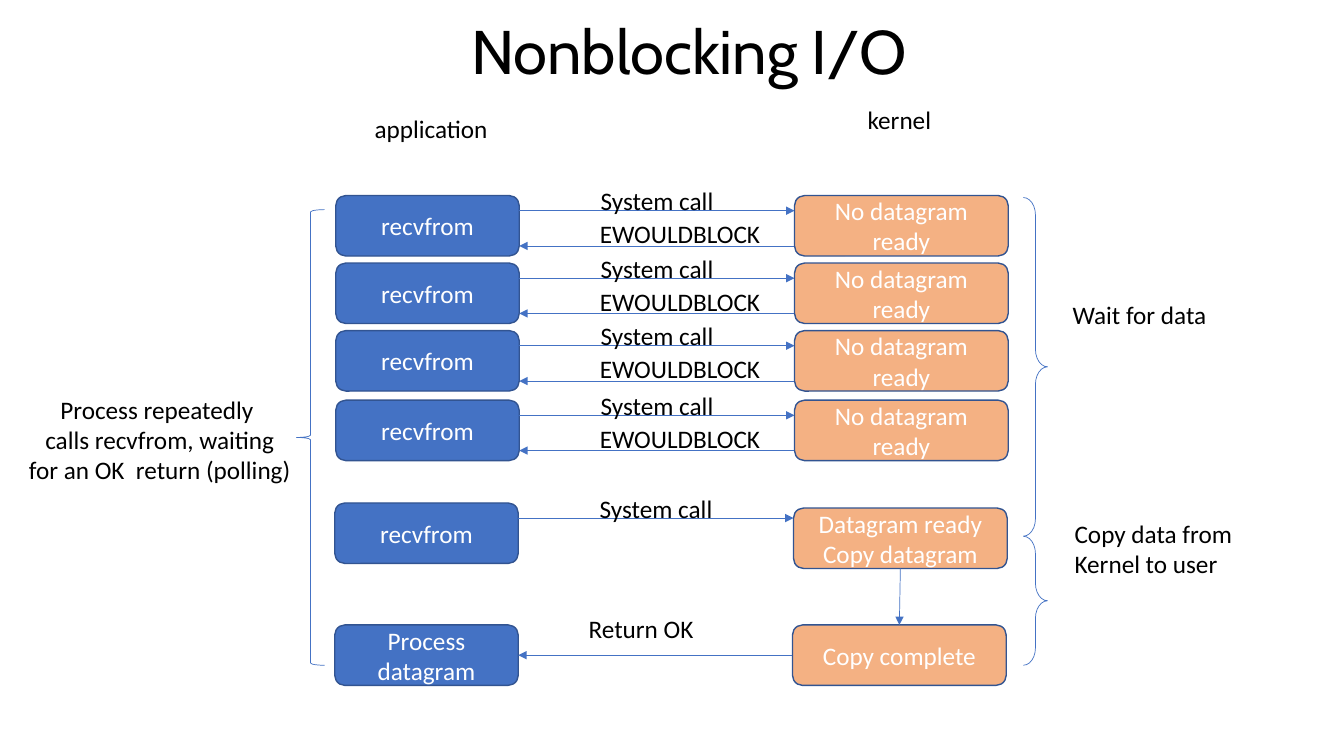
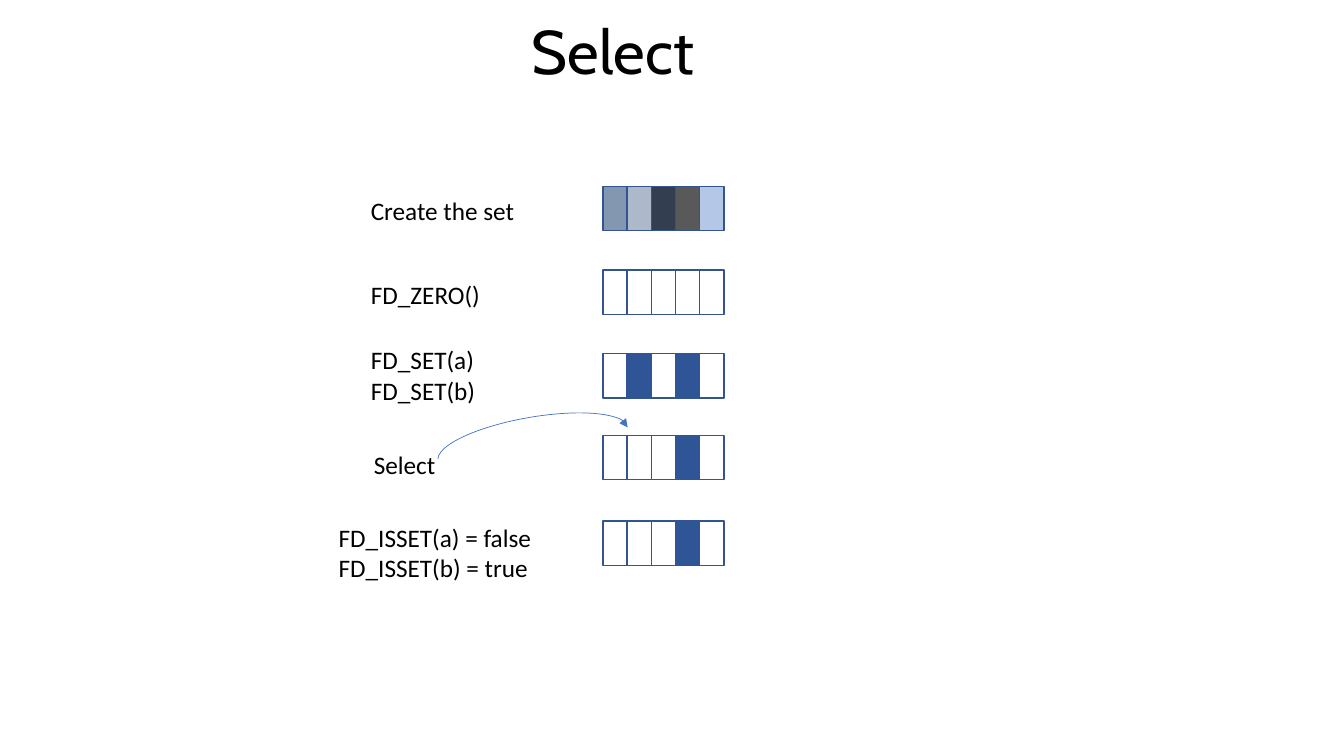
"""Build two slides on nonblocking reads and the select call."""
from lxml.etree import SubElement
from pptx import Presentation
from pptx.dml.color import RGBColor
from pptx.enum.shapes import MSO_CONNECTOR, MSO_SHAPE
from pptx.enum.text import MSO_ANCHOR, MSO_AUTO_SIZE, PP_ALIGN
from pptx.oxml.ns import qn
from pptx.util import Pt

SCALE = 9144
COLORS = {
    "black": "000000", "white": "FFFFFF", "blue": "4472C4", "edge": "325491",
    "peach": "F4B183", "navy": "2F5597", "steel": "8497B0", "mist": "ADB9CA",
    "slate": "333F50", "gray": "595959", "sky": "B4C7E7",
}
BOX_H = 60
CELL_W, CELL_H = 24, 44
CELL_X = 598


def px(*sizes):
    """Turn lengths in px into EMU."""
    return [size * SCALE for size in sizes]


def rgb(name):
    """Look up a named colour."""
    return RGBColor.from_string(COLORS[name])


def write(frame, text, color="black", size=18, font="Calibri", align=PP_ALIGN.LEFT):
    """Put one paragraph per line of text into a frame."""
    for i, line in enumerate(text.split("\n")):
        para = frame.paragraphs[0] if i == 0 else frame.add_paragraph()
        para.text = line
        para.alignment = align
        para.font.size = Pt(size)
        para.font.name = font
        para.font.color.rgb = rgb(color)


def title(slide, text, width):
    """Add the slide title."""
    frame = slide.shapes.add_textbox(*px(125, 0, width, 108)).text_frame
    frame.word_wrap = True
    frame.vertical_anchor = MSO_ANCHOR.MIDDLE
    write(frame, text, size=44, font="Cabin", align=PP_ALIGN.CENTER)
    frame.paragraphs[0].line_spacing = 0.9


def label(slide, text, x, y, w, wrap=False, align=PP_ALIGN.LEFT):
    """Add a plain text label whose height follows its lines."""
    height = 40 + 30 * text.count("\n")
    frame = slide.shapes.add_textbox(*px(x, y, w, height)).text_frame
    frame.word_wrap = wrap
    frame.auto_size = MSO_AUTO_SIZE.SHAPE_TO_FIT_TEXT
    write(frame, text, align=align)


def shape(slide, kind, x, y, w, h, fill=None, edge="edge", weight=1):
    """Add a flat preset shape."""
    item = slide.shapes.add_shape(kind, *px(x, y, w, h))
    item.shadow.inherit = False
    if fill:
        item.fill.solid()
        item.fill.fore_color.rgb = rgb(fill)
    else:
        item.fill.background()
    item.line.color.rgb = rgb(edge)
    item.line.width = Pt(weight)
    return item


def step(slide, text, x, y, w, fill):
    """Add a rounded box with centred white text."""
    box = shape(slide, MSO_SHAPE.ROUNDED_RECTANGLE, x, y, w, BOX_H, fill)
    box.text_frame.word_wrap = True
    box.text_frame.vertical_anchor = MSO_ANCHOR.MIDDLE
    write(box.text_frame, text, "white", align=PP_ALIGN.CENTER)
    return box


def user_step(slide, text, x, y):
    """Add a box on the application side."""
    return step(slide, text, x, y, 182, "blue")


def kernel_step(slide, text, x, y):
    """Add a box on the kernel side."""
    return step(slide, text, x, y, 212, "peach")


def brace(slide, kind, x, y, w, h, curve):
    """Add a thin brace."""
    item = shape(slide, kind, x, y, w, h, edge="blue", weight=0.5)
    item.adjustments[0] = curve


def head(item):
    """Put a triangle at the end of a line."""
    SubElement(item.line._get_or_add_ln(), qn("a:tailEnd"), type="triangle")


def arrow(slide, x1, y1, x2, y2):
    """Add a thin straight arrow."""
    line = slide.shapes.add_connector(MSO_CONNECTOR.STRAIGHT, *px(x1, y1, x2, y2))
    line.line.color.rgb = rgb("blue")
    line.line.width = Pt(0.5)
    head(line)
    SubElement(line._element.spPr, qn("a:effectLst"))
    return line


def join(slide, start, side, end, other):
    """Add an arrow that joins the sides of two boxes."""
    line = arrow(slide, 0, 0, 0, 0)
    line.begin_connect(start, side)
    line.end_connect(end, other)


def request(slide, x, y):
    """Add a recvfrom box with its system call."""
    user_step(slide, "recvfrom", x, y)
    arrow(slide, x + 182, y + 15, x + 455, y + 15)
    label(slide, "System call", x + 253, y - 15, 133)


def poll(slide, x, y):
    """Add one failed polling round."""
    request(slide, x, y)
    kernel_step(slide, "No datagram\nready".replace("\n", " "), x + 455, y)
    arrow(slide, x + 455, y + 50, x + 182, y + 50)
    label(slide, "EWOULDBLOCK", x + 252, y + 18, 181)


def cells(slide, y, fills):
    """Add a row of touching cells."""
    for i, fill in enumerate(fills):
        shape(slide, MSO_SHAPE.RECTANGLE, CELL_X + i * CELL_W, y, CELL_W, CELL_H, fill)


def draw_poll(slide):
    """Draw the polling slide."""
    title(slide, "Nonblocking I/O", 1117)
    label(slide, "application", 342, 108, 171, True, PP_ALIGN.CENTER)
    label(slide, "kernel", 786, 99, 212, True, PP_ALIGN.CENTER)
    for y in (194, 261, 328, 397):
        poll(slide, 333, y)
    request(slide, 332, 499)
    ready = kernel_step(slide, "Datagram ready\nCopy datagram", 787, 504)
    done = kernel_step(slide, "Copy complete", 786, 620)
    process = user_step(slide, "Process datagram", 332, 620)
    join(slide, ready, 2, done, 0)
    join(slide, done, 1, process, 3)
    label(slide, "Return OK", 574, 604, 125)
    brace(slide, MSO_SHAPE.RIGHT_BRACE, 1015, 196, 24, 336, 0.72)
    brace(slide, MSO_SHAPE.RIGHT_BRACE, 1015, 532, 24, 128, 0.72)
    brace(slide, MSO_SHAPE.LEFT_BRACE, 294, 208, 28, 452, 0.08)
    label(slide, "Wait for data", 1054, 292, 154)
    label(slide, "Copy data from\nKernel to user", 1056, 509, 184)
    label(slide, "Process repeatedly \ncalls recvfrom, waiting\nfor an OK  return (polling)",
          -9, 386, 335, True, PP_ALIGN.CENTER)


def draw_select(slide):
    """Draw the select slide."""
    title(slide, "Select ", 980)
    clear = ["white"] * 5
    both = ["white", "navy", "white", "navy", "white"]
    one = ["white", "white", "white", "navy", "white"]
    rows = [
        ("Create the set", 358, 189, 164, 185, ["steel", "mist", "slate", "gray", "sky"]),
        ("FD_ZERO()", 358, 272, 164, 268, clear),
        ("FD_SET(a)\nFD_SET(b)", 358, 337, 164, 351, both),
        ("Select", 361, 441, 164, 432, one),
        ("FD_ISSET(a) = false\nFD_ISSET(b) = true", 326, 513, 229, 517, one),
    ]
    for text, x, y, w, top, fills in rows:
        label(slide, text, x, y, w, True)
        cells(slide, top, fills)
    arc = shape(slide, MSO_SHAPE.ARC, 433, 414, 191, 53, edge="blue", weight=0.5)
    arc.adjustments[0] = 108.57
    arc.adjustments[1] = 0
    arc.rotation = 350.1
    head(arc)


def main():
    """Build and save the deck."""
    deck = Presentation()
    deck.slide_width, deck.slide_height = px(1333, 750)
    for draw in (draw_poll, draw_select):
        draw(deck.slides.add_slide(deck.slide_layouts[6]))
    deck.save("out.pptx")


if __name__ == "__main__":
    main()
